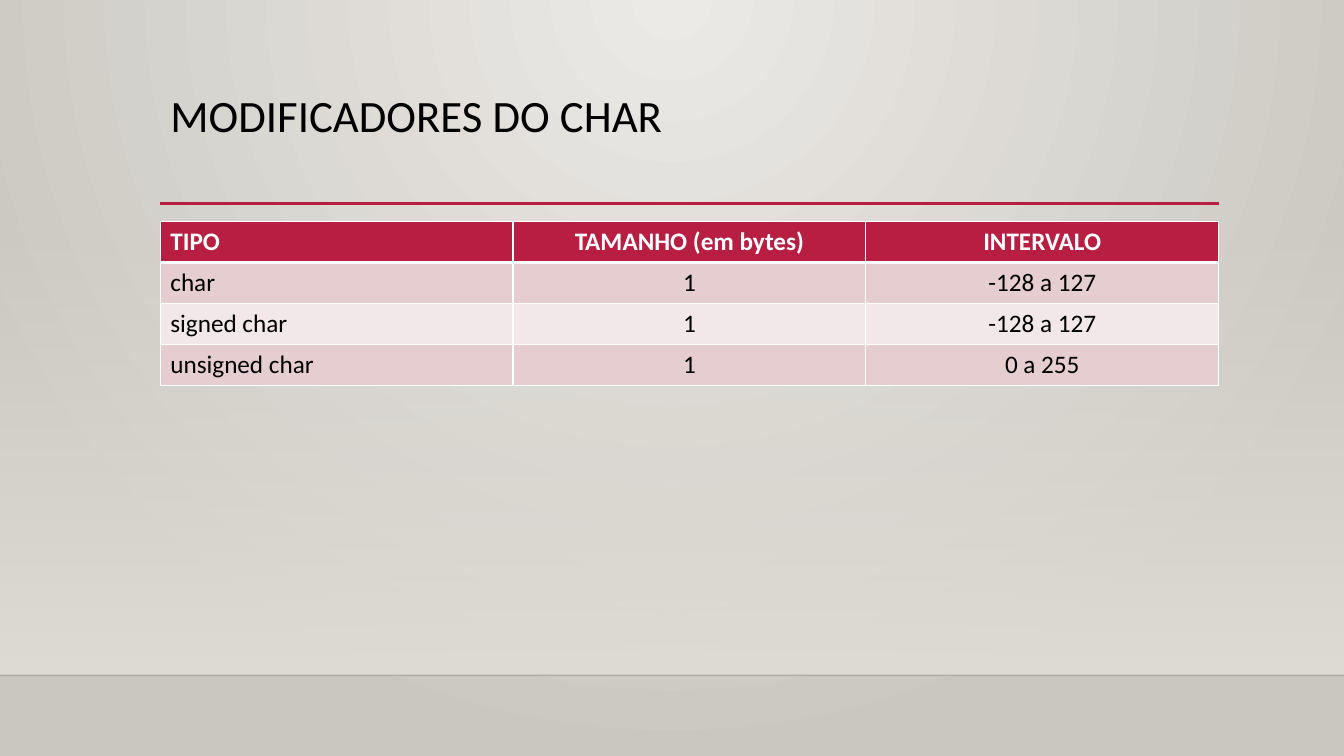
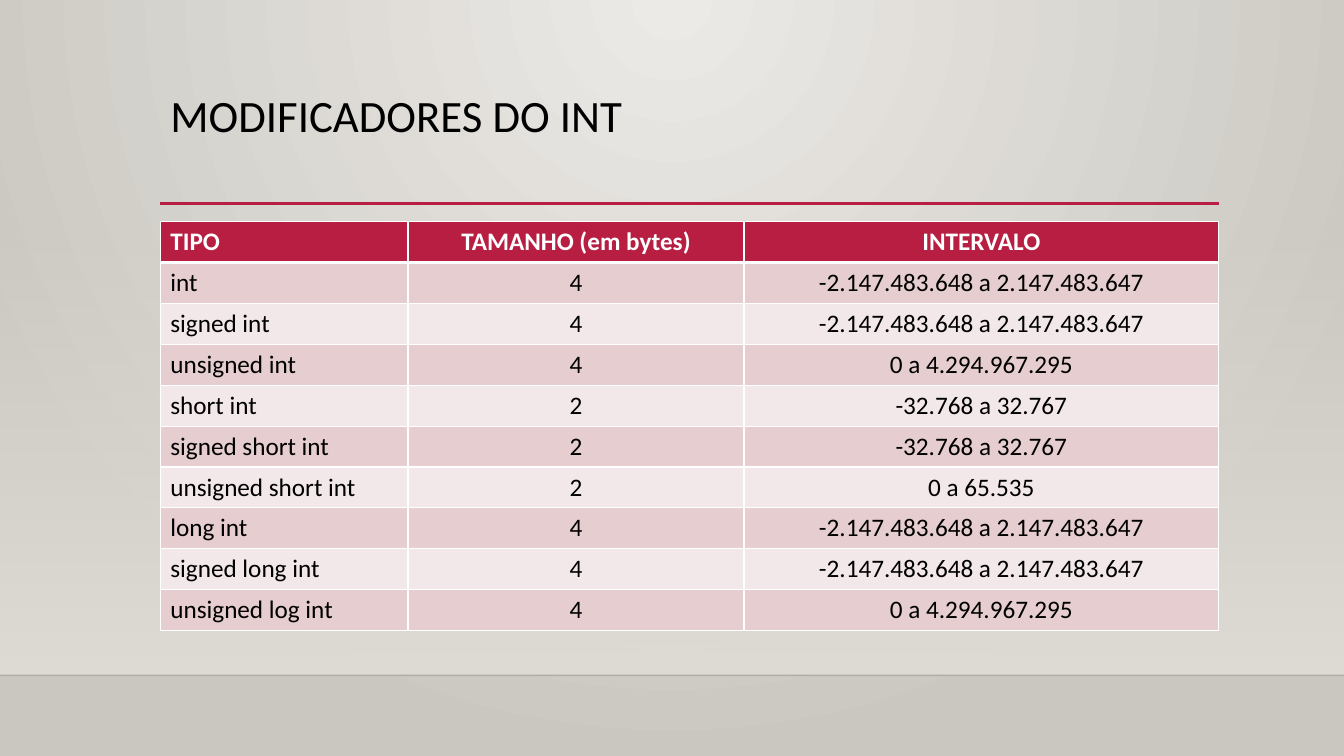
from lxml.etree import SubElement, fromstring
from pptx import Presentation
from pptx.dml.color import RGBColor
from pptx.enum.shapes import MSO_CONNECTOR, MSO_SHAPE
from pptx.enum.text import MSO_ANCHOR, PP_ALIGN
from pptx.oxml.ns import nsdecls, qn
from pptx.util import Pt

COLORS = {
    "accent": "B71E42",
    "glow": "ECEAE7",
    "backdrop": "CAC7C1",
    "wall": "DFDBD5",
    "edge": "000001",
    "text": "000000",
    "white": "FFFFFF",
    "odd_row": "E6CDCF",
    "even_row": "F3E8E9",
}
LEFT, WIDTH = 114.5, 756
SLIDE_WIDTH, SLIDE_HEIGHT = 960, 540
WALL_TOP, FLOOR_TOP = 159, 482.4
RULE_TOP, TABLE_TOP, ROW_HEIGHT = 145.2, 158.4, 29.2
HEADER = ("TIPO", "TAMANHO (em bytes)", "INTERVALO")
LONG_RANGE = "-2.147.483.648 a 2.147.483.647"
SHORT_RANGE = "-32.768 a 32.767"
UNSIGNED_RANGE = "0 a 4.294.967.295"
TOPICS = [
    ("MODIFICADORES DO CHAR", (252, 252, 252), [
        ("char", "1", "-128 a 127"),
        ("signed char", "1", "-128 a 127"),
        ("unsigned char", "1", "0 a 255"),
    ]),
    ("MODIFICADORES DO INT", (177, 240, 339), [
        ("int", "4", LONG_RANGE),
        ("signed int", "4", LONG_RANGE),
        ("unsigned int", "4", UNSIGNED_RANGE),
        ("short int", "2", SHORT_RANGE),
        ("signed short int", "2", SHORT_RANGE),
        ("unsigned short int", "2", "0 a 65.535"),
        ("long int", "4", LONG_RANGE),
        ("signed long int", "4", LONG_RANGE),
        ("unsigned log int", "4", UNSIGNED_RANGE),
    ]),
]


def rgb(name):
    return RGBColor.from_string(COLORS[name])


def style_text(paragraph, color, **formats):
    paragraph.font.color.rgb = rgb(color)
    for attribute, value in {"name": "Calibri", **formats}.items():
        setattr(paragraph.font, attribute, value)


prs = Presentation()
prs.slide_width, prs.slide_height = Pt(SLIDE_WIDTH), Pt(SLIDE_HEIGHT)
layout = prs.slide_layouts[5]

heading, *footers = layout.placeholders
for footer in footers:
    layout.shapes.element.remove(footer.element)
for attribute, value in {"left": LEFT, "top": 63.4, "width": WIDTH, "height": 82.8}.items():
    setattr(heading, attribute, Pt(value))
heading.text_frame.vertical_anchor = MSO_ANCHOR.TOP

backdrop = layout.background.fill
backdrop.gradient()
for stop, color in zip(backdrop.gradient_stops, ("glow", "backdrop")):
    stop.color.rgb = rgb(color)
direction = layout.element.find(".//" + qn("a:lin"))
direction.getparent().replace(direction, fromstring(
    f'<a:path {nsdecls("a")} path="circle">'
    '<a:fillToRect l="43000" t="0" r="43000" b="100000"/></a:path>'))

slides = [prs.slides.add_slide(layout) for topic in TOPICS]
canvas = slides[0].shapes
wall = canvas.add_shape(
    MSO_SHAPE.RECTANGLE, 0, Pt(WALL_TOP), Pt(SLIDE_WIDTH), Pt(FLOOR_TOP - WALL_TOP))
wall.shadow.inherit = False
wall.line.fill.background()
wall.fill.gradient()
wall.fill.gradient_angle = 270
for stop in wall.fill.gradient_stops:
    stop.color.rgb = rgb("wall")

rules = []
for start, end, y, color, weight in (
    (0, SLIDE_WIDTH, FLOOR_TOP, "edge", 1),
    (LEFT, LEFT + WIDTH, RULE_TOP, "accent", 2.5),
):
    rule = canvas.add_connector(MSO_CONNECTOR.STRAIGHT, Pt(start), Pt(y), Pt(end), Pt(y))
    rule.line.color.rgb = rgb(color)
    rule.line.width = Pt(weight)
    SubElement(rule.element.spPr, qn("a:effectLst"))
    rules.append(rule)

for faded, opacity in ((wall, 0), (rules[0], 20)):
    tint = faded.element.spPr.find(".//" + qn("a:srgbClr"))
    SubElement(tint, qn("a:alpha"), val=str(opacity * 1000))

for depth, decoration in enumerate((wall, *rules), start=2):
    layout.shapes.element.insert(depth, decoration.element)

for slide, (title, widths, types) in zip(slides, TOPICS):
    slide.shapes.title.text = title
    caption = slide.shapes.title.text_frame.paragraphs[0]
    caption.alignment = PP_ALIGN.LEFT
    caption.line_spacing = 0.9
    style_text(caption, "text", size=Pt(32))

    rows = [HEADER, *types]
    frame = slide.shapes.add_table(
        len(rows), len(HEADER), Pt(LEFT), Pt(TABLE_TOP), Pt(WIDTH), Pt(ROW_HEIGHT * len(rows)))
    table = frame.table
    for column, width in zip(table.columns, widths):
        column.width = Pt(width)
    for r, row in enumerate(rows):
        table.rows[r].height = Pt(ROW_HEIGHT)
        shade = "accent" if r == 0 else "odd_row" if r % 2 else "even_row"
        for c, value in enumerate(row):
            cell = table.cell(r, c)
            cell.text = value
            cell.fill.solid()
            cell.fill.fore_color.rgb = rgb(shade)
            entry = cell.text_frame.paragraphs[0]
            entry.alignment = PP_ALIGN.CENTER if c else PP_ALIGN.LEFT
            style_text(entry, "text" if r else "white", size=Pt(18), bold=r == 0)

    for index, properties in enumerate(frame.element.iter(qn("a:tcPr"))):
        r = index // len(HEADER)
        for order, side in enumerate("LRTB"):
            weight = 3 if (r, side) in ((0, "B"), (1, "T")) else 1
            properties.insert(order, fromstring(
                f'<a:ln{side} {nsdecls("a")} w="{Pt(weight)}"><a:solidFill>'
                f'<a:srgbClr val="{COLORS["white"]}"/></a:solidFill></a:ln{side}>'))

prs.save("out.pptx")
